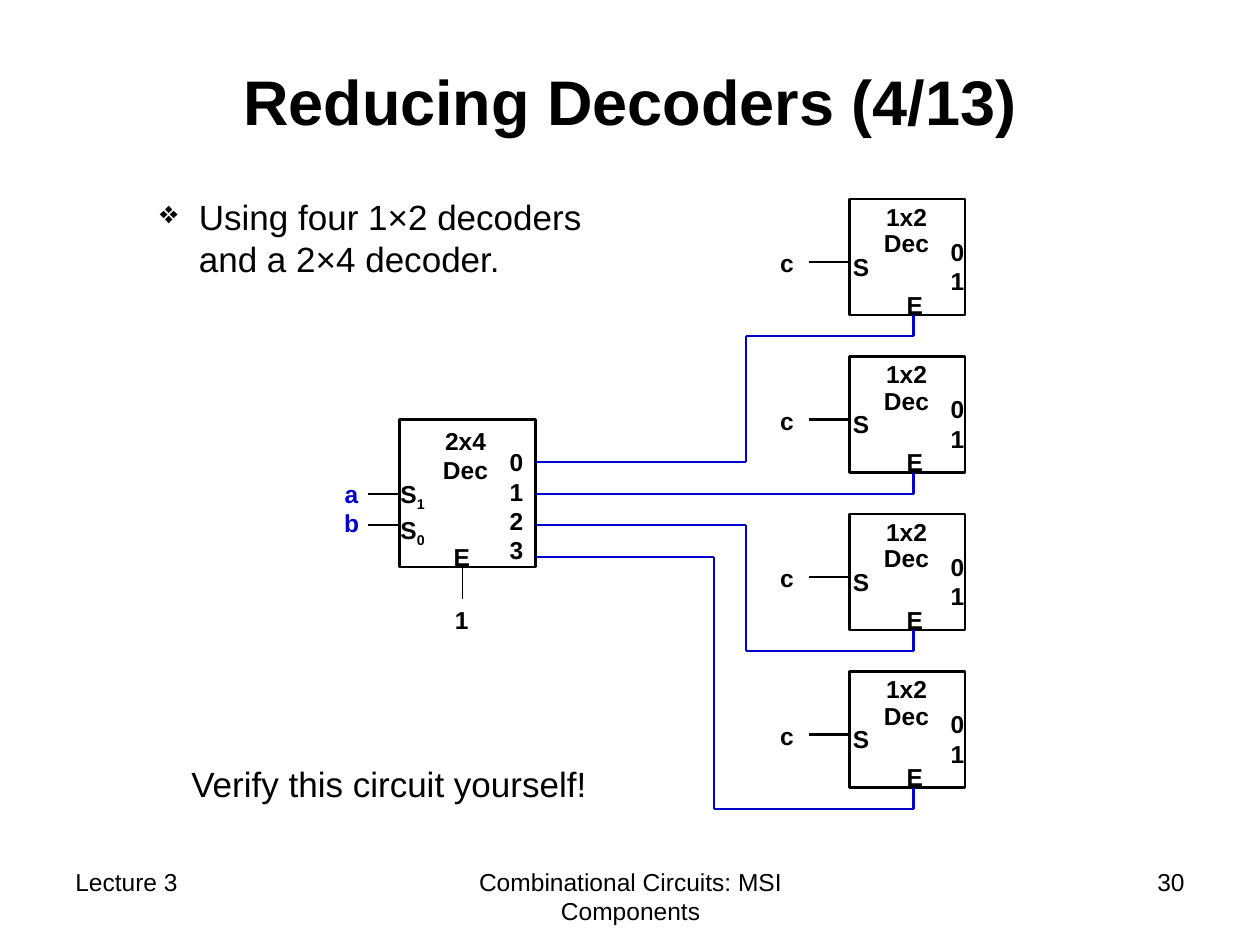
"""Build the slide on reducing a decoder to four 1×2 decoders and a 2×4 decoder."""
from itertools import pairwise

from lxml.etree import SubElement
from pptx import Presentation
from pptx.dml.color import RGBColor
from pptx.enum.shapes import MSO_CONNECTOR as Connector, MSO_SHAPE as Shape
from pptx.enum.text import MSO_ANCHOR as Anchor, PP_ALIGN as Align
from pptx.oxml.ns import qn
from pptx.util import Inches, Pt

BLACK = RGBColor(0x00, 0x00, 0x00)
BLUE = RGBColor(0x00, 0x00, 0xCC)


class CircuitSlide:
    font_name = "Arial"

    def __init__(self, slide):
        self.shapes = slide.shapes

    def text(self, content, left, top, width, height, *, size=14, color=BLACK,
             bold=False, align=Align.LEFT, anchor=Anchor.TOP, spacing=None,
             gap=0, bullet=None):
        box = self.shapes.add_textbox(*map(Inches, (left, top, width, height)))
        frame = box.text_frame
        frame.word_wrap = True
        frame.vertical_anchor = anchor
        for index, line in enumerate(content.split("\n")):
            paragraph = frame.paragraphs[0] if index == 0 else frame.add_paragraph()
            if bullet:
                self.bullet(paragraph, bullet)
            paragraph.alignment = align
            paragraph.line_spacing = spacing
            if index:
                paragraph.space_before = Pt(gap)
            base, _, subscript = line.partition("_")
            for part, offset in ((base, 0), (subscript, -25000)):
                if part:
                    run = paragraph.add_run()
                    run.text = part
                    run.font.name = self.font_name
                    run.font.size = Pt(size)
                    run.font.bold = bold
                    run.font.color.rgb = color
                    if offset:
                        run.font._element.set("baseline", str(offset))

    def bullet(self, paragraph, mark):
        properties = paragraph._p.get_or_add_pPr()
        properties.set("marL", str(Inches(0.81)))
        properties.set("indent", str(Inches(-0.31)))
        SubElement(properties, qn("a:buSzPct")).set("val", "90000")
        SubElement(properties, qn("a:buChar")).set("char", mark)

    def label(self, content, left, top, width, height, align=Align.CENTER, **style):
        self.text(content, left, top, width, height, bold=True, align=align, **style)

    def block(self, left, top, width, height):
        outline = self.shapes.add_shape(
            Shape.RECTANGLE, *map(Inches, (left, top, width, height)))
        outline.shadow.inherit = False
        outline.fill.background()
        outline.line.color.rgb = BLACK
        outline.line.width = Pt(1.5)

    def wire(self, *points, color=BLACK, width=1.25):
        for start, end in pairwise(points):
            if start != end:
                segment = self.shapes.add_connector(
                    Connector.STRAIGHT, *map(Inches, start + end))
                segment.line.color.rgb = color
                segment.line.width = Pt(width)
                SubElement(segment._element.spPr, qn("a:effectLst"))

    def main_decoder(self):
        self.block(3.17, 3.33, 1.08, 1.17)
        self.label("2x4\nDec", 3.28, 3.33, 0.83, 0.57)
        self.label("S_1\nS_0", 3.08, 3.75, 0.46, 0.66, Align.LEFT, gap=1.8)
        self.label("0\n1\n2\n3", 3.83, 3.5, 0.42, 1.04, Align.RIGHT)
        self.label("E", 3.5, 4.25, 0.33, 0.34)
        self.label("a\nb", 2.58, 3.75, 0.42, 0.57, color=BLUE)
        for input_y in (3.92, 4.17):
            self.wire((2.92, input_y), (3.17, input_y))
        self.wire((3.67, 4.5), (3.67, 4.75), width=0.75)
        self.label("1", 3.5, 4.75, 0.33, 0.34)

    def small_decoder(self, top):
        self.block(6.74, top, 0.92, 0.92)
        self.label("1x2\nDec", 6.78, top, 0.83, 0.52, spacing=0.9)
        self.label("S", 6.67, top + 0.37, 0.47, 0.34, Align.LEFT)
        self.label("0\n1", 7.33, top + 0.25, 0.42, 0.57, Align.RIGHT)
        self.label("E", 7.08, top + 0.67, 0.36, 0.34)
        self.label("c", 6.08, top + 0.34, 0.33, 0.34)
        self.wire((6.42, top + 0.5), (6.74, top + 0.5))


def main():
    deck = Presentation()
    deck.slide_width, deck.slide_height = Inches(10), Inches(7.5)
    page = CircuitSlide(deck.slides.add_slide(deck.slide_layouts[6]))

    page.text("Lecture 3", 0.5, 6.83, 2.33, 0.52)
    page.text("Combinational Circuits: MSI Components", 3.42, 6.83, 3.17, 0.52,
              align=Align.CENTER)
    page.text("30", 7.17, 6.83, 2.33, 0.52, align=Align.RIGHT)
    page.text("Reducing Decoders (4/13)", 0.75, 0.17, 8.5, 1.25, size=36,
              bold=True, align=Align.CENTER, anchor=Anchor.MIDDLE)
    page.text("Using four 1×2 decoders and a 2×4 decoder.", 0.67, 1.5, 4.33, 0.83,
              size=20, bullet="❖")
    page.text("Verify this circuit yourself!", 1.42, 6, 3.5, 0.44, size=20)

    page.main_decoder()
    enable_x = 7.25
    for row, turn_x in enumerate((5.92, enable_x, 5.92, 5.67)):
        top = 1.58 + 1.25 * row
        output_y = round(3.67 + 0.25 * row, 2)
        channel_y = round(top + 1.09, 2)
        page.small_decoder(top)
        page.wire((4.25, output_y), (turn_x, output_y), (turn_x, channel_y),
                  (enable_x, channel_y), (enable_x, top + 0.92), color=BLUE)

    deck.save("out.pptx")


if __name__ == "__main__":
    main()
